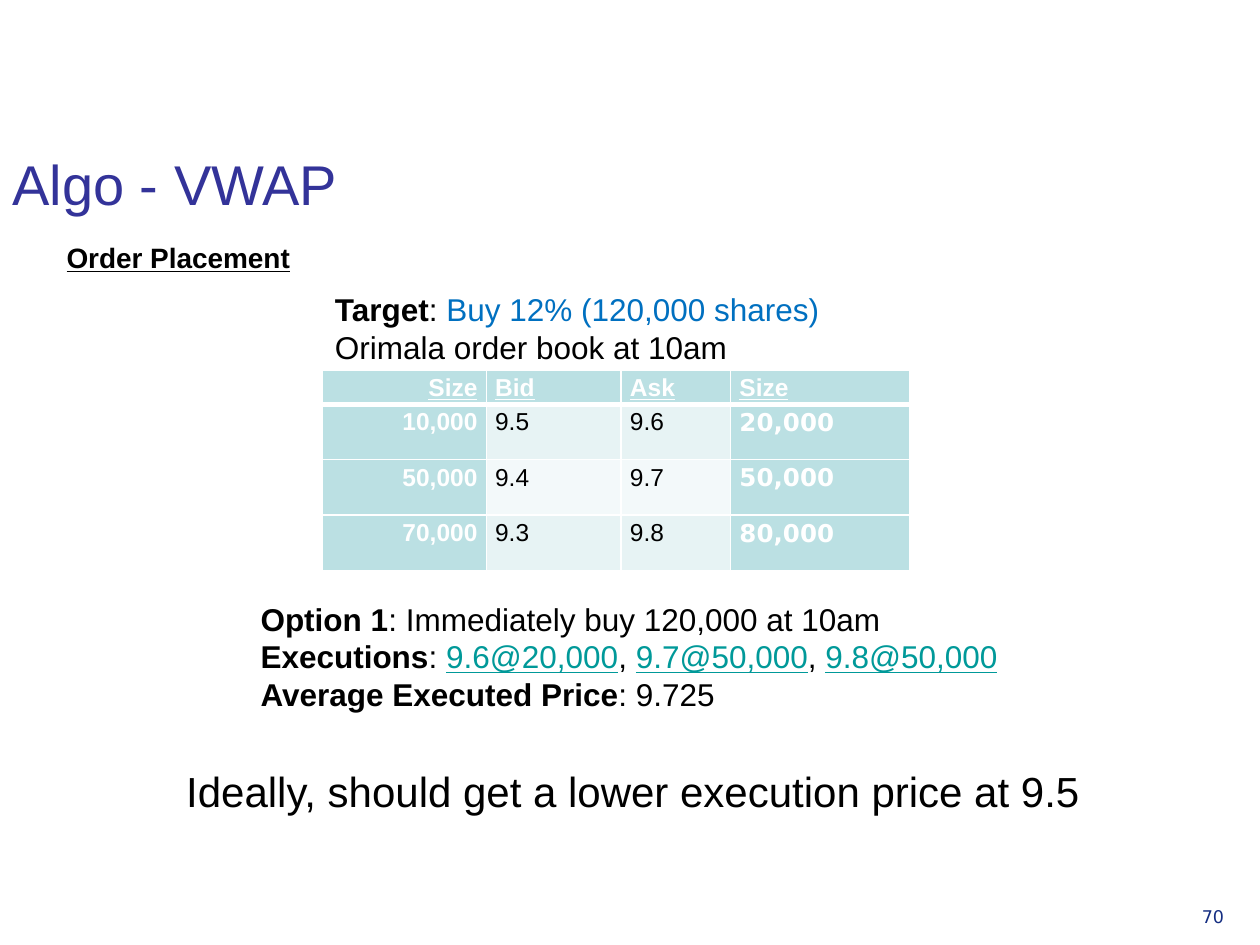
from dataclasses import dataclass

from pptx import Presentation
from pptx.dml.color import RGBColor as RGB
from pptx.enum.text import MSO_ANCHOR as Anchor, MSO_AUTO_SIZE as AutoSize, PP_ALIGN as Align
from pptx.oxml.ns import qn
from pptx.util import Inches, Pt
from lxml.etree import SubElement


@dataclass(frozen=True)
class Theme:
    font: str = "Arial"
    alt_font: str = "DejaVu Sans"
    # Colours
    ink: str = "000000"
    white: str = "FFFFFF"
    title: str = "333399"
    accent: str = "0070C0"
    link: str = "009999"
    page: str = "152E82"
    header: str = "BBE0E3"
    bands: tuple = ("E7F3F4", "F3F9FA")
    # Type sizes
    title_size: int = 32
    closing_size: int = 24
    body_size: int = 18
    heading_size: int = 16
    table_size: int = 14
    page_size: int = 10


T = Theme()
BOLD = {"bold": True}
LINK = {"color": T.link, "underline": True}


def set_attrs(obj, values):
    for name, value in values.items():
        setattr(obj, name, value)


def add_run(p, text, size, color=T.ink, name=T.font, **fmt):
    r = p.add_run()
    r.text = text
    set_attrs(r.font, {"size": Pt(size), "name": name, **fmt})
    r.font.color.rgb = RGB.from_string(color)


def add_text(slide, box, size, lines, **frame):
    """Each line is a list of (text, format) runs."""
    tf = slide.shapes.add_textbox(*map(Inches, box)).text_frame
    set_attrs(tf, {"word_wrap": True, "auto_size": AutoSize.NONE, **frame})
    for i, runs in enumerate(lines):
        p = tf.paragraphs[0] if i == 0 else tf.add_paragraph()
        for text, fmt in runs:
            add_run(p, text, size, **fmt)


def set_borders(cell, widths):
    """Widths in points for left, right, top and bottom."""
    tc_pr = cell._tc.get_or_add_tcPr()
    for i, (side, width) in enumerate(zip("LRTB", widths)):
        ln = tc_pr.makeelement(qn(f"a:ln{side}"), {"w": str(Pt(width))})
        fill = SubElement(ln, qn("a:solidFill"))
        SubElement(fill, qn("a:srgbClr"), val=T.white)
        tc_pr.insert(i, ln)


def add_cell(cell, text, row, col, last_col):
    header, side = row == 0, col in (0, last_col)
    strong = header or side
    cell.fill.solid()
    cell.fill.fore_color.rgb = RGB.from_string(
        T.header if strong else T.bands[(row - 1) % 2])
    set_attrs(cell, {"margin_left": Inches(0.07), "margin_right": Inches(0.07),
                     "margin_top": 0, "margin_bottom": 0})
    p = cell.text_frame.paragraphs[0]
    set_attrs(p, {"line_spacing": 1.15,
                  "alignment": Align.RIGHT if col == 0 else Align.LEFT})
    add_run(p, text, T.table_size, T.white if strong else T.ink,
            T.alt_font if col == last_col and not header else T.font,
            bold=strong, underline=header)
    set_borders(cell, (1, 1, 3 if row == 1 else 1, 3 if header else 1))


def add_order_book(slide, box, col_widths, row_heights, rows):
    table = slide.shapes.add_table(
        len(rows), len(col_widths), *map(Inches, box)).table
    for column, width in zip(table.columns, col_widths):
        column.width = Inches(width)
    for row, height in zip(table.rows, row_heights):
        row.height = Inches(height)
    for i, values in enumerate(rows):
        for j, text in enumerate(values):
            add_cell(table.cell(i, j), text, i, j, len(values) - 1)


def main():
    prs = Presentation()
    set_attrs(prs, {"slide_width": Inches(10), "slide_height": Inches(7.5)})
    s = prs.slides.add_slide(prs.slide_layouts[6])
    grow = {"auto_size": AutoSize.SHAPE_TO_FIT_TEXT}

    # Page number, title and heading
    add_text(s, (9.44, 7.14, 0.55, 0.39), T.page_size,
             [[("70", {"color": T.page, "name": T.alt_font})]])
    add_text(s, (0, 0.68, 8.83, 1.09), T.title_size,
             [[("Algo - VWAP", {"color": T.title})]],
             vertical_anchor=Anchor.BOTTOM)
    add_text(s, (0.43, 1.86, 9.1, 0.53), T.heading_size,
             [[("Order Placement", {"bold": True, "underline": True})]])

    # Target and order book
    add_text(s, (2.56, 2.25, 4.65, 0.71), T.body_size, [
        [("Target", BOLD), (": ", {}),
         ("Buy 12% (120,000 shares)", {"color": T.accent})],
        [("Orimala order book at 10am", {})],
    ], **grow)
    add_order_book(s, (2.56, 2.94, 4.65, 1.59), (1.3, 1.07, 0.87, 1.42),
                   (0.22, 0.44, 0.44, 0.44), [
        ("Size", "Bid", "Ask", "Size"),
        ("10,000", "9.5", "9.6", "20,000"),
        ("50,000", "9.4", "9.7", "50,000"),
        ("70,000", "9.3", "9.8", "80,000"),
    ])

    # Option and conclusion
    add_text(s, (1.97, 4.71, 6.1, 1.01), T.body_size, [
        [("Option 1", BOLD), (": Immediately buy 120,000 at 10am", {})],
        [("Executions", BOLD), (": ", {}), ("9.6@20,000", LINK), (", ", {}),
         ("9.7@50,000", LINK), (", ", {}), ("9.8@50,000", LINK)],
        [("Average Executed Price", BOLD), (": 9.725", {})],
    ], word_wrap=False, **grow)
    add_text(s, (1.38, 6.03, 7.37, 0.5), T.closing_size,
             [[("Ideally, should get a lower execution price at 9.5", {})]],
             word_wrap=False, **grow)

    prs.save("out.pptx")


if __name__ == "__main__":
    main()
